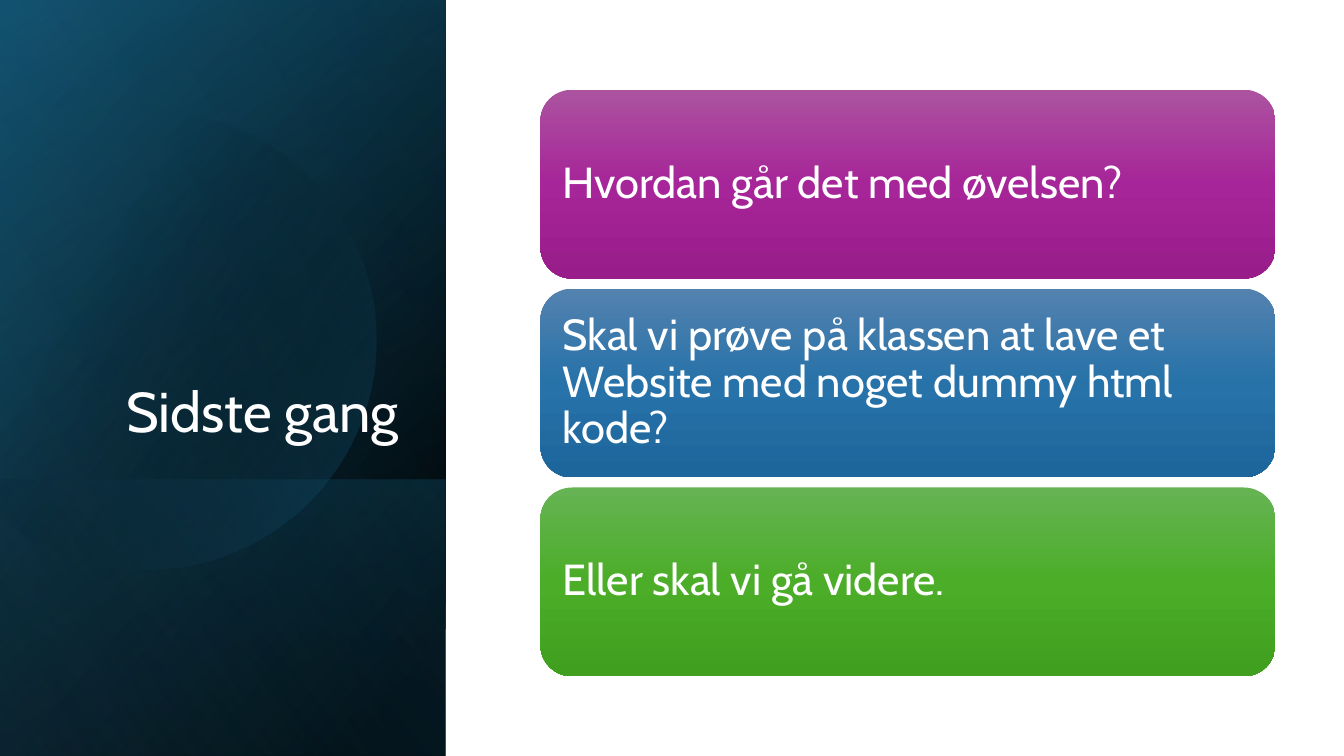
import math

from lxml import etree
from pptx import Presentation
from pptx.dml.color import RGBColor
from pptx.enum.shapes import MSO_SHAPE
from pptx.enum.text import MSO_ANCHOR, MSO_AUTO_SIZE, PP_ALIGN
from pptx.oxml.ns import qn
from pptx.util import Inches, Pt

RECT = MSO_SHAPE.RECTANGLE
ROUND_RECT = MSO_SHAPE.ROUNDED_RECTANGLE
MIDDLE, BOTTOM = MSO_ANCHOR.MIDDLE, MSO_ANCHOR.BOTTOM
LEFT, RIGHT = PP_ALIGN.LEFT, PP_ALIGN.RIGHT
NO_AUTOFIT = MSO_AUTO_SIZE.NONE

FONT = "Cabin"
WIDTH, HEIGHT = 13.33, 7.5
PANEL_WIDTH = 4.42

CARDS = [
    ("Hvordan går det med øvelsen?", ("AC53A0", "A62598", "991C8B")),
    ("Skal vi prøve på klassen at lave et Website med noget dummy html kode?",
     ("5382AF", "2772A9", "1D669C")),
    ("Eller skal vi gå videre.", ("66B354", "4BAD28", "409F1E")),
]


def rgb(color):
    return RGBColor.from_string(color)


def style_gradient(sp, stops, angle):
    sp.shadow.inherit = False
    sp.line.fill.background()
    sp.fill.background()
    grad = etree.Element(qn("a:gradFill"), rotWithShape="1")
    stop_list = etree.SubElement(grad, qn("a:gsLst"))
    for position, color, opacity in stops:
        stop = etree.SubElement(stop_list, qn("a:gs"), pos=str(position * 1000))
        clr = etree.SubElement(stop, qn("a:srgbClr"), val=color)
        if opacity < 100:
            etree.SubElement(clr, qn("a:alpha"), val=str(opacity * 1000))
    etree.SubElement(grad, qn("a:lin"), ang=str(angle * 60000), scaled="0")
    no_fill = sp.element.spPr.find(qn("a:noFill"))
    no_fill.getparent().replace(no_fill, grad)


def add_gradient_shape(s, kind, box, stops, angle):
    sp = s.shapes.add_shape(kind, *(Inches(v) for v in box))
    style_gradient(sp, stops, angle)
    return sp


def set_text(sp, text, size, align, anchor, inset):
    tf = sp.text_frame
    tf.text = text
    tf.word_wrap = True
    tf.auto_size = NO_AUTOFIT
    tf.vertical_anchor = anchor
    tf.margin_left = tf.margin_right = Inches(inset)
    tf.margin_top = tf.margin_bottom = Inches(inset / 2 if anchor == BOTTOM else inset)
    p = tf.paragraphs[0]
    p.alignment = align
    p.line_spacing = 0.9
    font = p.runs[0].font
    font.name = FONT
    font.size = Pt(size)
    font.color.rgb = rgb("FFFFFF")


def add_clipped_circle(s, left, cx, cy, radius, stops, angle):
    limit = math.acos((left - cx) / radius)
    steps = 120
    turns = [limit * (2 * i / steps - 1) for i in range(steps + 1)]
    points = [(Inches(cx + radius * math.cos(t)), Inches(cy + radius * math.sin(t)))
              for t in turns]
    builder = s.shapes.build_freeform(*points[0])
    builder.add_line_segments(points[1:], close=True)
    style_gradient(builder.convert_to_shape(), stops, angle)


def add_title_panel(s, left, top, width, height):
    box = (left, top, width, height)
    footer_height = 2.74
    footer = (left, top + height - footer_height, width, footer_height)
    add_gradient_shape(s, RECT, box, [(8, "000000", 100), (100, "104862", 100)], 220)
    add_gradient_shape(s, RECT, box, [(0, "000000", 0), (99, "156082", 46)], 240)
    add_gradient_shape(s, RECT, footer, [(2, "156082", 29), (100, "000000", 30)], 140)
    add_clipped_circle(s, left, left + 1.45, top + 3.37, 2.28,
                       [(29, "000000", 0), (100, "156082", 43)], 30)
    add_gradient_shape(s, RECT, box, [(0, "000000", 0), (99, "46B1E1", 11)], 150)

    title = s.shapes.title
    title.left, title.top = Inches(left + 0.64), Inches(top + 1.84)
    title.width, title.height = Inches(3.41), Inches(2.62)
    set_text(title, "Sidste gang", 40, RIGHT, BOTTOM, 0.1)
    s.shapes.element.append(title.element)


def add_cards(s, left, top, width, height):
    gap = 0.1
    card_height = (height - gap * (len(CARDS) - 1)) / len(CARDS)
    for i, (text, colors) in enumerate(CARDS):
        box = (left, top + i * (card_height + gap), width, card_height)
        stops = [(50 * n, color, 100) for n, color in enumerate(colors)]
        sp = add_gradient_shape(s, ROUND_RECT, box, stops, 90)
        set_text(sp, text, 31, LEFT, MIDDLE, 0.13)


def main():
    prs = Presentation()
    prs.slide_width, prs.slide_height = Inches(WIDTH), Inches(HEIGHT)
    s = prs.slides.add_slide(prs.slide_layouts[5])
    add_title_panel(s, 0, 0, PANEL_WIDTH, HEIGHT)
    add_cards(s, 5.36, 0.89, 7.29, 5.82)
    prs.save("out.pptx")


if __name__ == "__main__":
    main()
